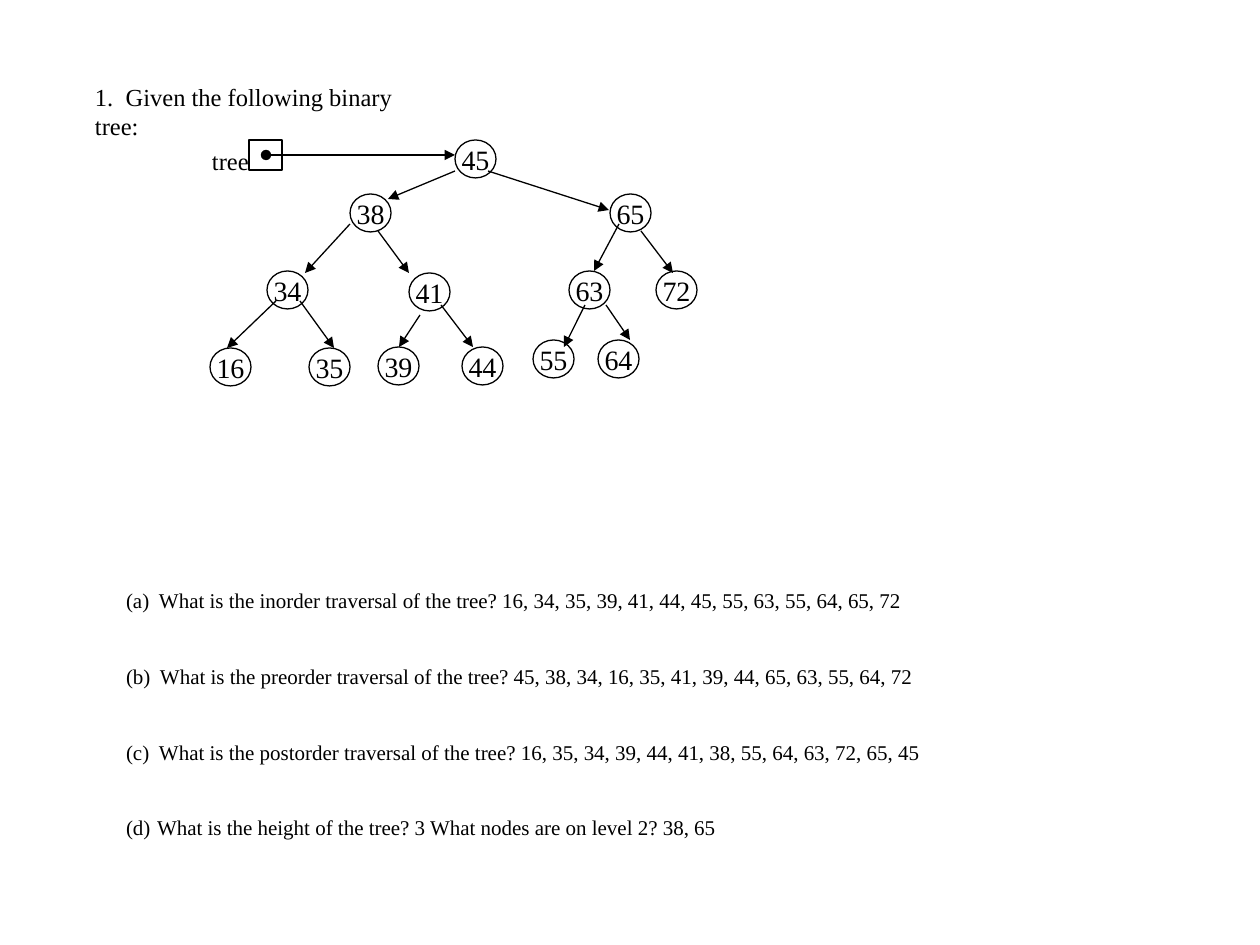
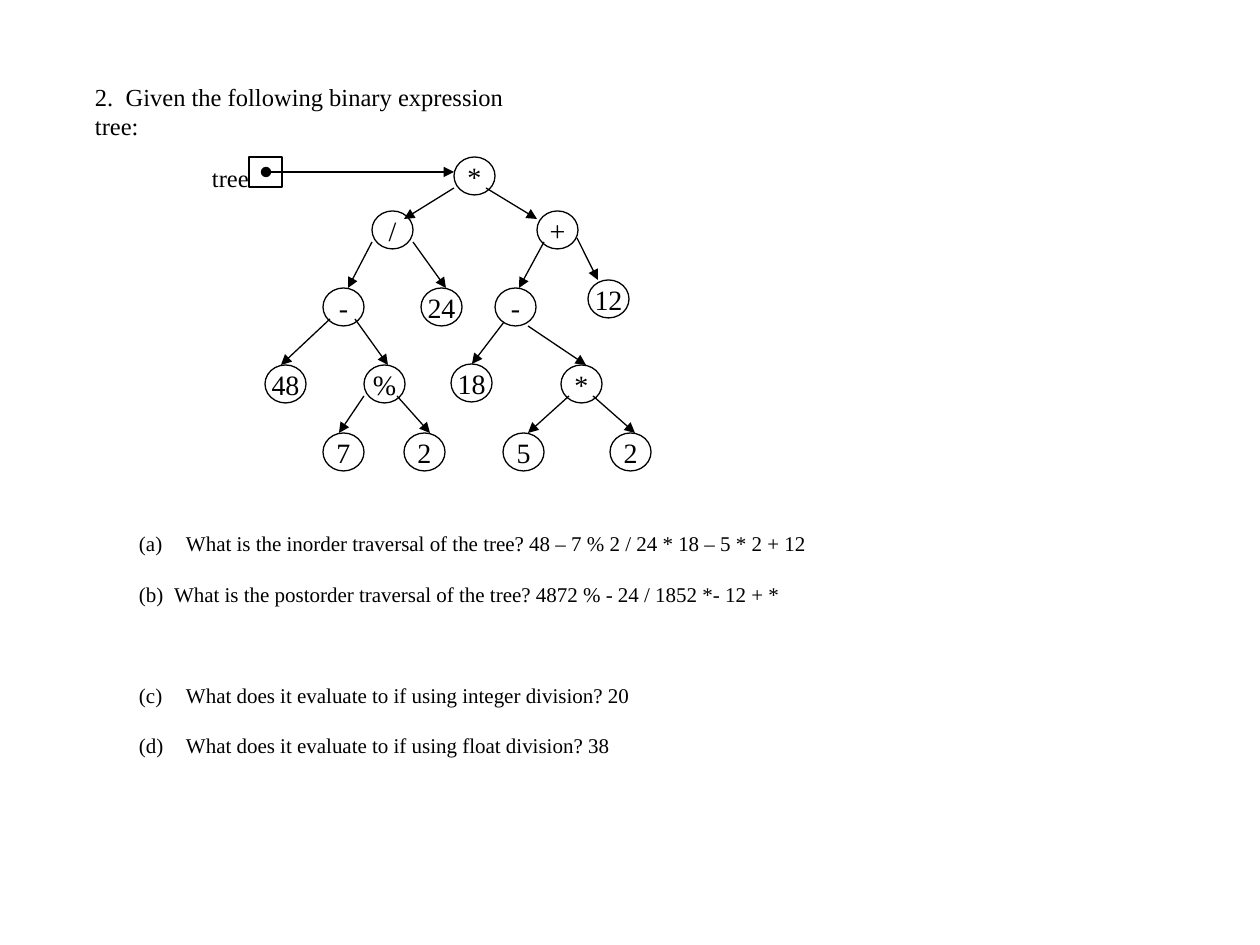
from dataclasses import dataclass

import pptx
import pptx.dml.color
import pptx.enum.shapes
import pptx.enum.text
import pptx.oxml
import pptx.oxml.ns
import pptx.util

SHAPE = pptx.enum.shapes.MSO_SHAPE
ALIGN = pptx.enum.text.PP_ALIGN
ANCHOR = pptx.enum.text.MSO_ANCHOR


@dataclass(frozen=True)
class Theme:
    font: str = "Times New Roman"
    ink: pptx.dml.color.RGBColor = pptx.dml.color.RGBColor(0, 0, 0)
    heading: int = 14
    question: int = 12
    node: int = 16
    line: float = 0.75
    leading: float = 1.2


THEME = Theme()
INSET_X, INSET_Y = 13, 6
NODE_W, NODE_H = 41, 38


def px(n):
    return pptx.util.Emu(round(n * 914400 / 126))


# Shared helpers

def add_run(p, text, size):
    p.line_spacing = pptx.util.Pt(round(size * THEME.leading, 2))
    r = p.add_run()
    r.text = text
    r.font.name = THEME.font
    r.font.size = pptx.util.Pt(size)
    r.font.color.rgb = THEME.ink


def setup_frame(tf, inset_x=INSET_X, inset_y=INSET_Y, wrap=True, anchor=ANCHOR.TOP):
    tf.auto_size = pptx.enum.text.MSO_AUTO_SIZE.NONE
    tf.word_wrap = wrap
    tf.vertical_anchor = anchor
    tf.margin_left = tf.margin_right = px(inset_x)
    tf.margin_top = tf.margin_bottom = px(inset_y)


def set_line(line):
    line.color.rgb = THEME.ink
    line.width = pptx.util.Pt(THEME.line)


def add_outline(shapes, kind, x, y, w, h):
    sp = shapes.add_shape(kind, px(x), px(y), px(w), px(h))
    sp.shadow.inherit = False
    sp.fill.background()
    set_line(sp.line)
    return sp


def add_arrow(shapes, x1, y1, x2, y2, head=None):
    c = shapes.add_connector(pptx.enum.shapes.MSO_CONNECTOR.STRAIGHT,
                             px(x1), px(y1), px(x2), px(y2))
    set_line(c.line)
    ln = c.line._get_or_add_ln()
    for tag, kind in (("a:headEnd", head), ("a:tailEnd", "triangle")):
        if kind:
            end = pptx.oxml.parse_xml(f'<{tag} {pptx.oxml.ns.nsdecls("a")} type="{kind}"/>')
            ln.append(end)
    effects = pptx.oxml.parse_xml(f'<a:effectLst {pptx.oxml.ns.nsdecls("a")}/>')
    c._element.spPr.append(effects)


# Regions

def add_heading(slide, text, x, y, w, h):
    sp = slide.shapes.title
    sp.left, sp.top, sp.width, sp.height = px(x), px(y), px(w), px(h)
    tf = sp.text_frame
    setup_frame(tf)
    p = tf.paragraphs[0]
    p.alignment = ALIGN.LEFT
    add_run(p, text, THEME.heading)


def add_node(shapes, label, x, y):
    sp = add_outline(shapes, SHAPE.OVAL, x, y, NODE_W, NODE_H)
    tf = sp.text_frame
    setup_frame(tf, 0, 0, False, ANCHOR.MIDDLE)
    p = tf.paragraphs[0]
    p.alignment = ALIGN.CENTER
    add_run(p, label, THEME.node)


def add_pointer(shapes, x, y, root_x):
    """The variable "tree": its name, its cell and the arrow to the root."""
    add_outline(shapes, SHAPE.RECTANGLE, x + 50, y, 33, 30)
    box = shapes.add_textbox(px(x), px(y), px(62), px(42))
    setup_frame(box.text_frame, wrap=False)
    add_run(box.text_frame.paragraphs[0], "tree", THEME.heading)
    add_arrow(shapes, x + 67, y + 15, root_x, y + 15, head="oval")


def add_tree(slide, root, children, x, y):
    shapes = slide.shapes.add_group_shape().shapes
    label, root_x = root
    add_node(shapes, label, x + root_x, y)
    for label, node_x, node_y, x1, y1, x2, y2 in children:
        add_node(shapes, label, x + node_x, y + node_y)
        add_arrow(shapes, x + x1, y + y1, x + x2, y + y2)
    add_pointer(shapes, x, y, x + root_x)


def add_questions(slide, questions, x, y, w, h):
    """Lettered questions, each given as (hanging indent, empty lines above, text)."""
    tf = slide.shapes.add_textbox(px(x), px(y), px(w), px(h)).text_frame
    setup_frame(tf)
    for i, (indent, lines_above, text) in enumerate(questions):
        p = tf.add_paragraph() if i else tf.paragraphs[0]
        p.space_before = pptx.util.Pt(round(lines_above * THEME.question * THEME.leading, 2))
        add_run(p, text, THEME.question)
        pPr = p._p.get_or_add_pPr()
        pPr.set("marL", str(px(indent)))
        pPr.set("indent", str(-px(indent)))
        number = pptx.oxml.parse_xml(
            f'<a:buAutoNum {pptx.oxml.ns.nsdecls("a")} type="alphaLcParenBoth" startAt="{i + 1}"/>')
        pPr.append(number)


def add_exercise(prs, heading, heading_w, tree_y, root, children, questions, questions_box):
    slide = prs.slides.add_slide(prs.slide_layouts[5])
    add_heading(slide, heading, 82, 76, heading_w, 72)
    add_questions(slide, questions, *questions_box)
    add_tree(slide, root, children, 199, tree_y)


# Content: label, node x and y, then the arrow from its parent (x1, y1, x2, y2)

SEARCH_TREE = [
    ("38", 151, 54, 256, 31, 189, 59),
    ("65", 411, 54, 289, 31, 410, 70),
    ("34", 68, 131, 151, 84, 106, 133),
    ("41", 210, 133, 179, 91, 210, 133),
    ("63", 370, 131, 420, 84, 395, 131),
    ("72", 457, 131, 442, 91, 474, 133),
    ("16", 11, 208, 77, 161, 28, 208),
    ("35", 110, 208, 101, 161, 135, 208),
    ("39", 179, 207, 221, 175, 200, 207),
    ("44", 263, 207, 242, 165, 274, 207),
    ("55", 334, 200, 386, 165, 365, 207),
    ("64", 399, 200, 407, 165, 431, 200),
]
SEARCH_QUESTIONS = [
    (33, 0, "What is the inorder traversal of the tree? "
            "16, 34, 35, 39, 41, 44, 45, 55, 63, 55, 64, 65, 72"),
    (34, 2, "What is the preorder traversal of the tree? "
            "45, 38, 34, 16, 35, 41, 39, 44, 65, 63, 55, 64, 72"),
    (33, 2, "What is the postorder traversal of the tree? "
            "16, 35, 34, 39, 44, 41, 38, 55, 64, 63, 72, 65, 45"),
    (31, 2, "What is the height of the tree? 3 What nodes are on level 2? 38, 65"),
]
EXPRESSION_TREE = [
    ("/", 173, 54, 255, 31, 205, 62),
    ("+", 338, 54, 287, 31, 338, 62),
    ("-", 124, 131, 173, 85, 149, 131),
    ("24", 222, 131, 214, 85, 247, 131),
    ("-", 296, 131, 345, 85, 320, 131),
    ("12", 389, 123, 378, 81, 399, 123),
    ("48", 66, 208, 131, 162, 82, 208),
    ("%", 165, 208, 156, 162, 189, 208),
    ("18", 252, 207, 305, 165, 273, 207),
    ("*", 362, 208, 329, 169, 387, 208),
    ("7", 124, 276, 165, 239, 140, 276),
    ("2", 205, 276, 198, 239, 231, 276),
    ("5", 304, 276, 370, 239, 329, 276),
    ("2", 411, 276, 394, 239, 436, 276),
]
EXPRESSION_QUESTIONS = [
    (47, 0, "What is the inorder traversal of the tree? 48 – 7 % 2 / 24 * 18 – 5 * 2 + 12"),
    (35, 1, "What is the postorder traversal of the tree? 4872 % - 24 / 1852 *- 12 + *"),
    (47, 3, "What does it evaluate to if using integer division? 20"),
    (47, 1, "What does it evaluate to if using float division? 38"),
]


def main():
    prs = pptx.Presentation()
    prs.slide_width, prs.slide_height = px(1260), px(945)
    add_exercise(prs, "1.  Given the following binary tree:", 360, 140,
                 ("45", 256), SEARCH_TREE, SEARCH_QUESTIONS, (113, 582, 823, 292))
    add_exercise(prs, "2.  Given the following binary expression tree:", 470, 157,
                 ("*", 255), EXPRESSION_TREE, EXPRESSION_QUESTIONS, (126, 525, 702, 318))
    prs.save("out.pptx")


if __name__ == "__main__":
    main()
